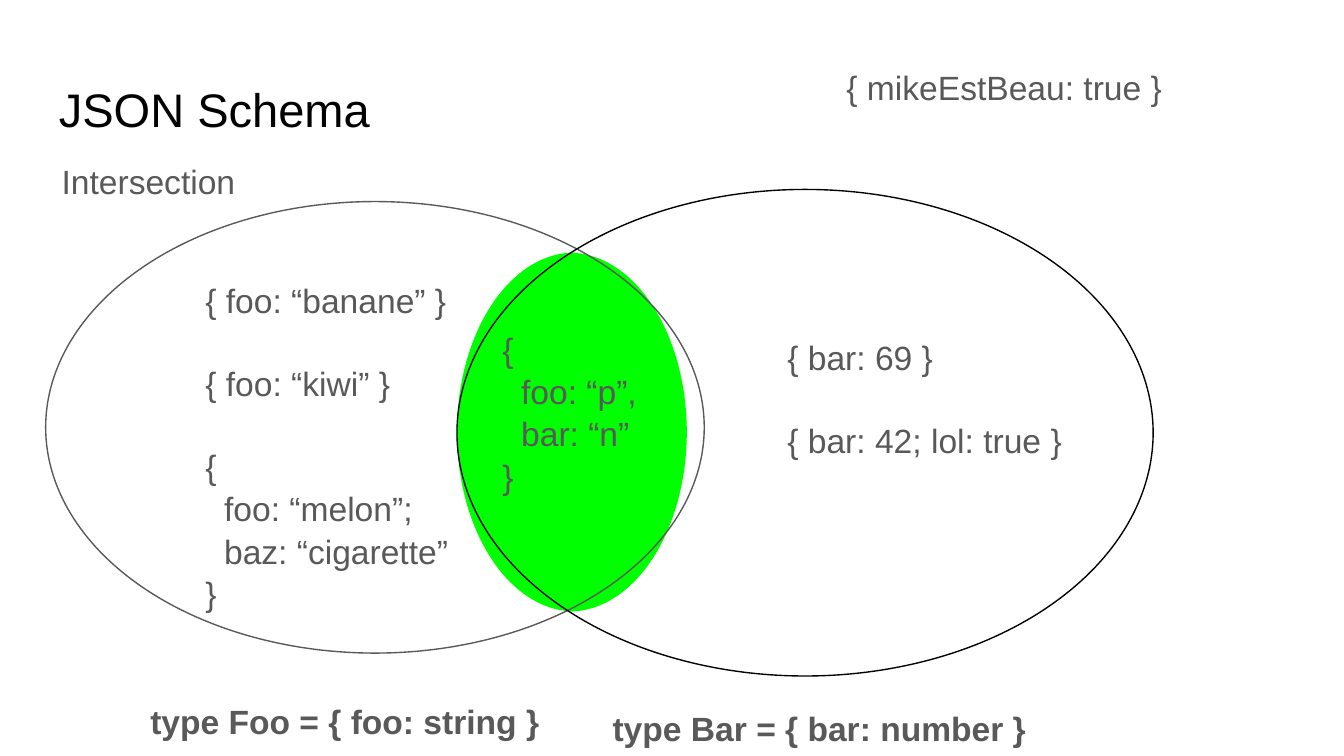
import pptx
import pptx.dml.color
import pptx.enum.shapes
import pptx.enum.text
import pptx.util

Pt = pptx.util.Pt
SHAPES = pptx.enum.shapes.MSO_SHAPE
ANCHORS = pptx.enum.text.MSO_ANCHOR
BLACK = pptx.dml.color.RGBColor(0x00, 0x00, 0x00)
GREY = pptx.dml.color.RGBColor(0x59, 0x59, 0x59)
GREEN = pptx.dml.color.RGBColor(0x00, 0xFF, 0x00)

deck = pptx.Presentation()
deck.slide_width = Pt(720)
deck.slide_height = Pt(405)
page = deck.slides.add_slide(deck.slide_layouts[6])


def add_text(area, lines, color=GREY, spacing=1.05, anchor=ANCHORS.TOP, **font):
    box = page.shapes.add_textbox(*map(Pt, area))
    frame = box.text_frame
    margins = dict.fromkeys(
        ("margin_left", "margin_top", "margin_right", "margin_bottom"), Pt(7.2))
    frame_format = {"word_wrap": True, "vertical_anchor": anchor, **margins}
    for name, value in frame_format.items():
        setattr(frame, name, value)
    font_format = {"name": "Arial", "size": Pt(18), **font}
    for index, (text, indent, gap) in enumerate(lines):
        para = frame.add_paragraph() if index else frame.paragraphs[0]
        para.line_spacing = spacing
        para.space_before = Pt(gap)
        if indent:
            para._p.get_or_add_pPr().set("marL", str(Pt(indent)))
        span = para.add_run()
        span.text = text
        for name, value in font_format.items():
            setattr(span.font, name, value)
        span.font.color.rgb = color


for left, rotation in ((241.92, 180), (244.8, 0)):
    half = page.shapes.add_shape(SHAPES.PIE, Pt(left), Pt(135.36), Pt(126), Pt(192.24))
    half.adjustments[0] = 54.637
    half.adjustments[1] = 162
    half.rotation = rotation
    half.shadow.inherit = False
    half.fill.solid()
    half.fill.fore_color.rgb = GREEN
    half.line.fill.background()

add_text((24.48, 35.28, 671.04, 45.36), [("JSON Schema", 0, 0)],
         color=BLACK, spacing=1, anchor=ANCHORS.BOTTOM, size=Pt(25.2))

for area, color in (((24.48, 108, 352.8, 241.92), GREY),
                    ((244.8, 101.52, 372.96, 260.64), BLACK)):
    oval = page.shapes.add_shape(SHAPES.OVAL, *map(Pt, area))
    oval.shadow.inherit = False
    oval.fill.background()
    oval.line.color.rgb = color
    oval.line.width = Pt(0.75)

INDENT = 10
BLANK_LINE = 21.7
add_text((102.96, 141.84, 164.88, 185.76), [
    ("{ foo: “banane” }", 0, 0),
    ("{ foo: “kiwi” }", 0, BLANK_LINE),
    ("{", 0, BLANK_LINE),
    ("foo: “melon”;", INDENT, 0),
    ("baz: “cigarette”", INDENT, 0),
    ("}", 0, 0),
])
add_text((414.72, 172.08, 164.88, 92.16), [
    ("{ bar: 69 }", 0, 0),
    ("{ bar: 42; lol: true }", 0, BLANK_LINE),
])
add_text((446.4, 27.36, 213.84, 36), [("{ mikeEstBeau: true }", 0, 0)])
add_text((262.08, 167.76, 126, 101.52), [
    ("{", 0, 0),
    ("foo: “p”,", INDENT, 0),
    ("bar: “n”", INDENT, 0),
    ("}", 0, 0),
])

for area, text, bold in (
    ((73.44, 365.04, 236.16, 36), "type Foo = { foo: string }", True),
    ((321.12, 368.64, 249.12, 36), "type Bar = { bar: number }", True),
    ((25.92, 75.6, 344.88, 36), "Intersection", False),
):
    add_text(area, [(text, 0, 0)], spacing=1.15, bold=bold)

deck.save("out.pptx")
